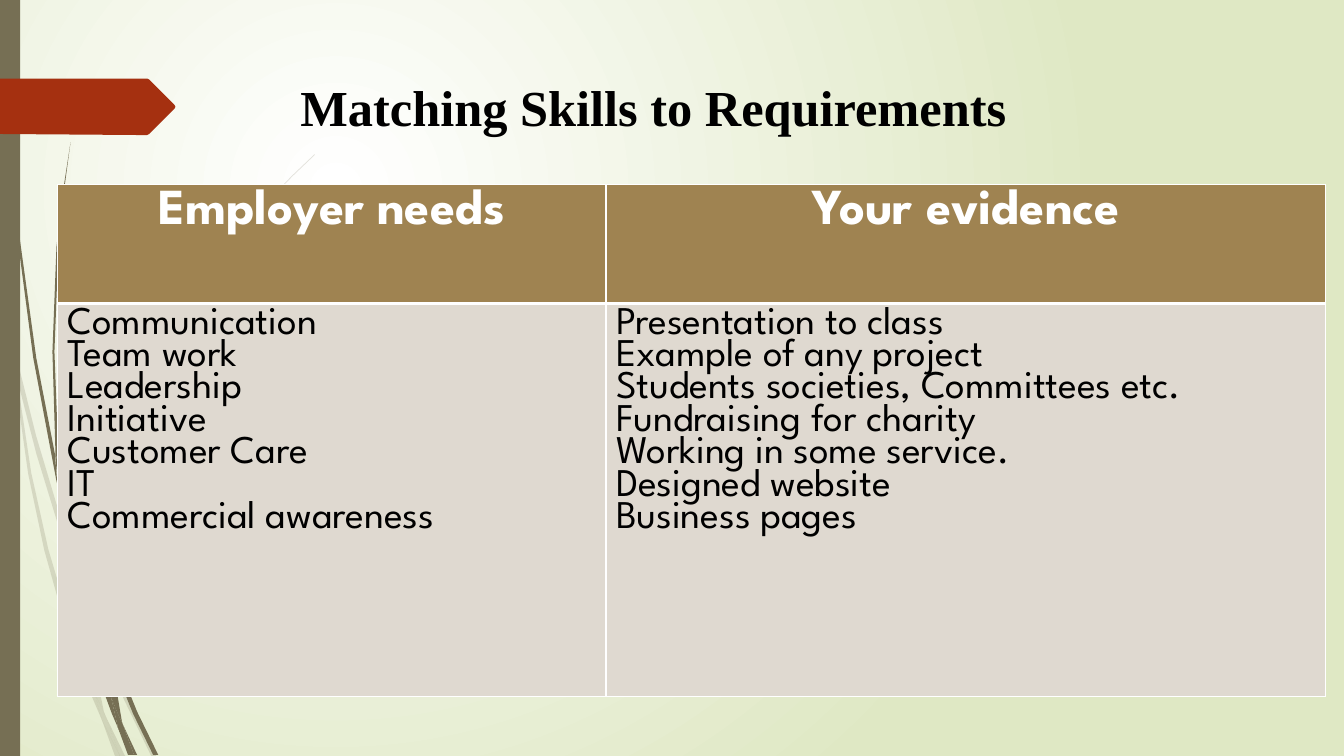
from dataclasses import dataclass

import lxml.etree
import pptx
import pptx.dml.color
import pptx.enum.shapes
import pptx.enum.text
import pptx.oxml.ns
import pptx.util

Inches = pptx.util.Inches
Pt = pptx.util.Pt
qn = pptx.oxml.ns.qn
Align = pptx.enum.text.PP_ALIGN
Point = tuple[float, float]


@dataclass(frozen=True)
class Theme:
    olive: str = "766F54"
    rust: str = "A53010"
    black: str = "000000"
    white: str = "FFFFFF"
    leaf: str = "DFE8C4"
    header: str = "9F8351"
    body: str = "DFD9D0"
    title_font: str = "Times New Roman"
    table_font: str = "League Spartan"
    large: int = 36
    medium: int = 28


@dataclass(frozen=True)
class Outline:
    points: tuple[Point, ...]
    color: str
    opacity: int = 100


@dataclass(frozen=True)
class CellStyle:
    fill: str
    text_color: str
    font: dict
    paragraph: dict
    bottom_border: int


THEME = Theme()

PALE_WISPS = (
    ((0.11, 3.5), (0.09, 3.22), (0, 2.82), (0, 2.99), (0.1, 3.44)),
    ((0.58, 5.22), (0.84, 5.99), (0.85, 5.86), (0.62, 5.2), (0.36, 4.33),
     (0.14, 3.45), (0.17, 3.76), (0.36, 4.5)),
    ((0.92, 6.07), (0.88, 5.96), (0.88, 6.1), (1.23, 6.94), (1.5, 7.5),
     (1.55, 7.5), (1.27, 6.92)),
    ((1.19, 7.5), (1.24, 7.5), (1.05, 7.11)),
    ((0.93, 6.83), (0.7, 6.19), (0.48, 5.45), (0.31, 4.69), (0.17, 3.76),
     (0.11, 3.5), (0.28, 4.7), (0.44, 5.46), (0.65, 6.21), (0.92, 6.93),
     (1.01, 7.14), (0.99, 7.07)),
    ((0.84, 5.99), (0.87, 6.46), (0.93, 6.83), (0.96, 6.92), (1.05, 7.11),
     (1.03, 7.06), (0.91, 6.46), (0.88, 6.1), (0.88, 6.08)),
    ((0.88, 5.84), (0.96, 5.22), (1.1, 4.62), (1.33, 4.04), (1.6, 3.49),
     (1.93, 2.95), (2.29, 2.45), (2.68, 1.98), (2.9, 1.75), (3.12, 1.54),
     (3.12, 1.53), (2.89, 1.75), (2.68, 1.97), (2.28, 2.44), (1.91, 2.94),
     (1.58, 3.48), (1.3, 4.03), (1.07, 4.61), (0.92, 5.22), (0.85, 5.84),
     (0.85, 5.86), (0.88, 5.96)),
    ((1.01, 7.14), (1.14, 7.5), (1.19, 7.5)),
    ((0.88, 6.08), (0.88, 5.96), (0.85, 5.86), (0.84, 5.99)),
    ((0.96, 6.92), (0.93, 6.83), (0.99, 7.07), (1.01, 7.14), (1.19, 7.5),
     (1.05, 7.11)),
)

DARK_WISPS = (
    ((0.07, 1.1), (0.17, 2.33), (0.33, 3.55), (0.56, 4.77), (0.57, 4.81),
     (0.55, 4.57), (0.55, 4.53), (0.36, 3.55), (0.19, 2.32), (0.08, 1.09),
     (0.05, 0.48), (0.04, 0), (0.03, 0), (0.04, 0.48)),
    ((0.88, 5.92), (1.06, 6.45), (1.06, 6.31), (0.93, 5.9), (0.75, 5.32),
     (0.6, 4.72), (0.64, 5.05), (0.75, 5.49)),
    ((1.13, 6.49), (1.1, 6.41), (1.11, 6.56), (1.32, 7.08), (1.52, 7.49),
     (1.57, 7.49), (1.36, 7.06)),
    ((1.1, 6.91), (0.98, 6.57), (0.72, 5.56), (0.64, 5.05), (0.57, 4.77),
     (0.68, 5.57), (0.93, 6.59), (1.11, 7.08), (1.17, 7.22), (1.16, 7.17)),
    ((0.6, 4.72), (0.58, 4.53), (0.54, 3.49), (0.58, 2.45), (0.63, 1.93),
     (0.7, 1.41), (0.62, 1.93), (0.56, 2.45), (0.52, 3.49), (0.55, 4.49)),
    ((1.33, 7.49), (1.36, 7.49), (1.22, 7.19)),
    ((0.57, 4.77), (0.64, 5.05), (0.6, 4.72), (0.55, 4.49), (0.55, 4.53)),
    ((1.11, 6.33), (1.15, 5.92), (1.25, 5.52), (1.4, 5.13), (1.58, 4.76),
     (2.05, 4.06), (2.31, 3.74), (2.45, 3.59), (2.61, 3.44), (2.6, 3.44),
     (2.45, 3.58), (2.31, 3.73), (2.04, 4.05), (1.56, 4.74), (1.37, 5.12),
     (1.22, 5.51), (1.11, 5.91), (1.06, 6.31), (1.1, 6.41)),
    ((1.17, 7.22), (1.27, 7.49), (1.31, 7.49)),
    ((1.06, 6.45), (1.1, 6.91), (1.16, 7.06), (1.22, 7.19), (1.21, 7.16),
     (1.11, 6.56), (1.09, 6.51)),
    ((1.06, 6.45), (1.09, 6.51), (1.11, 6.56), (1.1, 6.41), (1.06, 6.31)),
    ((1.16, 7.06), (1.1, 6.91), (1.16, 7.17), (1.17, 7.22), (1.3, 7.49),
     (1.33, 7.49), (1.22, 7.19)),
)

ARROW = ((0, 0.78), (1.46, 0.78), (1.48, 0.79), (1.73, 1.04), (1.74, 1.06),
         (1.73, 1.08), (1.48, 1.33), (1.46, 1.34), (1.36, 1.34), (0, 1.33))

HEADINGS = ("Employer needs", "Your evidence")
MATCHES = (
    ("Communication", "Presentation to class"),
    ("Team work", "Example of any project"),
    ("Leadership", "Students societies, Committees etc."),
    ("Initiative", "Fundraising for charity"),
    ("Customer Care", "Working in some service."),
    ("IT", "Designed website"),
    ("Commercial awareness", "Business pages"),
)

HEADER_STYLE = CellStyle(
    THEME.header, THEME.white,
    {"name": THEME.table_font, "size": Pt(THEME.large), "bold": True},
    {"alignment": Align.CENTER}, 3)
BODY_STYLE = CellStyle(
    THEME.body, THEME.black,
    {"name": THEME.table_font, "size": Pt(THEME.medium), "bold": False},
    {"alignment": Align.LEFT, "line_spacing": 0.9}, 1)


def rgb(color: str) -> pptx.dml.color.RGBColor:
    return pptx.dml.color.RGBColor.from_string(color)


def apply_format(target, values: dict) -> None:
    for name, value in values.items():
        setattr(target, name, value)


def paint_background(slide) -> None:
    fill = slide.background.fill
    fill.gradient()
    for stop, color in zip(fill.gradient_stops, (THEME.white, THEME.leaf)):
        stop.color.rgb = rgb(color)
    linear = next(slide.element.iter(qn("a:lin")))
    circle = lxml.etree.Element(qn("a:path"), {"path": "circle"})
    lxml.etree.SubElement(circle, qn("a:fillToRect"),
                          {"l": "50000", "t": "50000", "r": "100000", "b": "100000"})
    linear.getparent().replace(linear, circle)


def finish_shape(shape, color: str, opacity: int = 100) -> None:
    shape.shadow.inherit = False
    shape.fill.solid()
    shape.fill.fore_color.rgb = rgb(color)
    shape.line.fill.background()
    if opacity < 100:
        tint = next(shape.element.spPr.iter(qn("a:srgbClr")))
        lxml.etree.SubElement(tint, qn("a:alpha"), {"val": str(opacity * 1000)})


def draw_outline(slide, outline: Outline) -> None:
    points = [(Inches(x), Inches(y)) for x, y in outline.points]
    builder = slide.shapes.build_freeform(*points[0])
    builder.add_line_segments(points[1:], close=True)
    finish_shape(builder.convert_to_shape(), outline.color, outline.opacity)


def place_title(slide) -> None:
    title = slide.shapes.title
    slide.shapes.element.append(title.element)
    apply_format(title, {"left": Inches(2.88), "top": Inches(0.66),
                         "width": Inches(7.58), "height": Inches(0.9)})
    frame = title.text_frame
    apply_format(frame, {"text": "Matching Skills to Requirements",
                         "margin_top": Inches(0.1), "word_wrap": True,
                         "vertical_anchor": pptx.enum.text.MSO_ANCHOR.TOP})
    para = frame.paragraphs[0]
    para.alignment = Align.LEFT
    span = para.runs[0]
    apply_format(span.font, {"name": THEME.title_font, "size": Pt(THEME.large), "bold": True})
    span.font.color.rgb = rgb(THEME.black)


def fill_cell(cell, lines: tuple[str, ...], style: CellStyle) -> None:
    properties = cell._tc.get_or_add_tcPr()
    for side, width in (("L", 1), ("R", 1), ("T", 1), ("B", style.bottom_border)):
        border = lxml.etree.SubElement(properties, qn(f"a:ln{side}"), {"w": str(Pt(width))})
        solid = lxml.etree.SubElement(border, qn("a:solidFill"))
        lxml.etree.SubElement(solid, qn("a:srgbClr"), {"val": THEME.white})
    cell.fill.solid()
    cell.fill.fore_color.rgb = rgb(style.fill)
    cell.text_frame.text = "\n".join(lines)
    for para in cell.text_frame.paragraphs:
        apply_format(para, style.paragraph)
        for span in para.runs:
            apply_format(span.font, style.font)
            span.font.color.rgb = rgb(style.text_color)


def add_skills_table(slide) -> None:
    table = slide.shapes.add_table(2, 2, Inches(0.57), Inches(1.83),
                                   Inches(12.58), Inches(5.08)).table
    for row, height in zip(table.rows, (1.18, 3.9)):
        row.height = Inches(height)
    for index, (width, heading, lines) in enumerate(zip((5.44, 7.14), HEADINGS, zip(*MATCHES))):
        table.columns[index].width = Inches(width)
        fill_cell(table.cell(0, index), (heading,), HEADER_STYLE)
        fill_cell(table.cell(1, index), lines, BODY_STYLE)


def main() -> None:
    deck = pptx.Presentation()
    apply_format(deck, {"slide_width": Inches(13.33), "slide_height": Inches(7.5)})
    slide = deck.slides.add_slide(deck.slide_layouts[5])
    paint_background(slide)
    for points in PALE_WISPS:
        draw_outline(slide, Outline(points, THEME.olive, 20))
    for points in DARK_WISPS:
        draw_outline(slide, Outline(points, THEME.olive))
    stripe = slide.shapes.add_shape(pptx.enum.shapes.MSO_SHAPE.RECTANGLE,
                                    0, 0, Inches(0.2), deck.slide_height)
    finish_shape(stripe, THEME.olive)
    draw_outline(slide, Outline(ARROW, THEME.rust))
    place_title(slide)
    add_skills_table(slide)
    deck.save("out.pptx")


if __name__ == "__main__":
    main()
